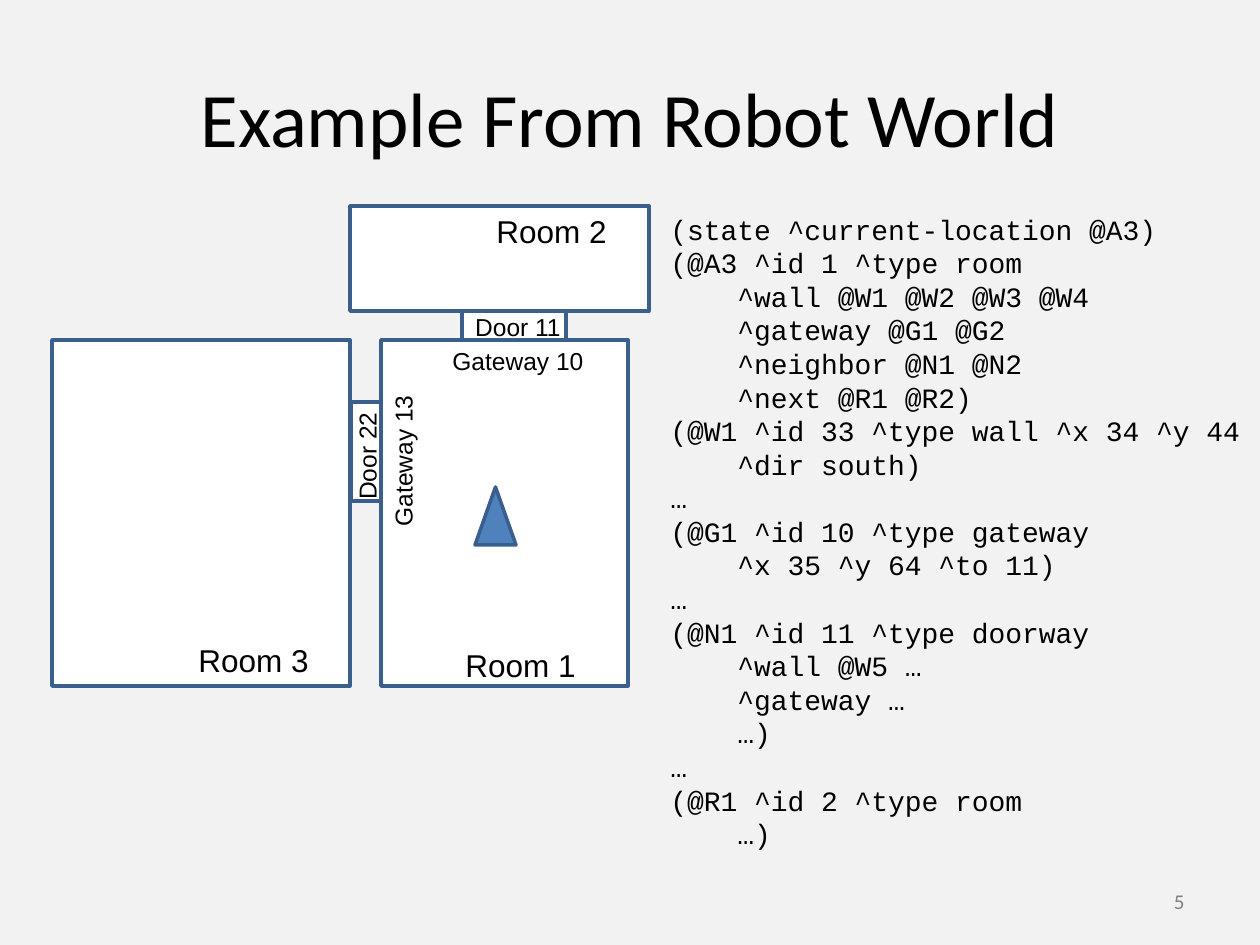
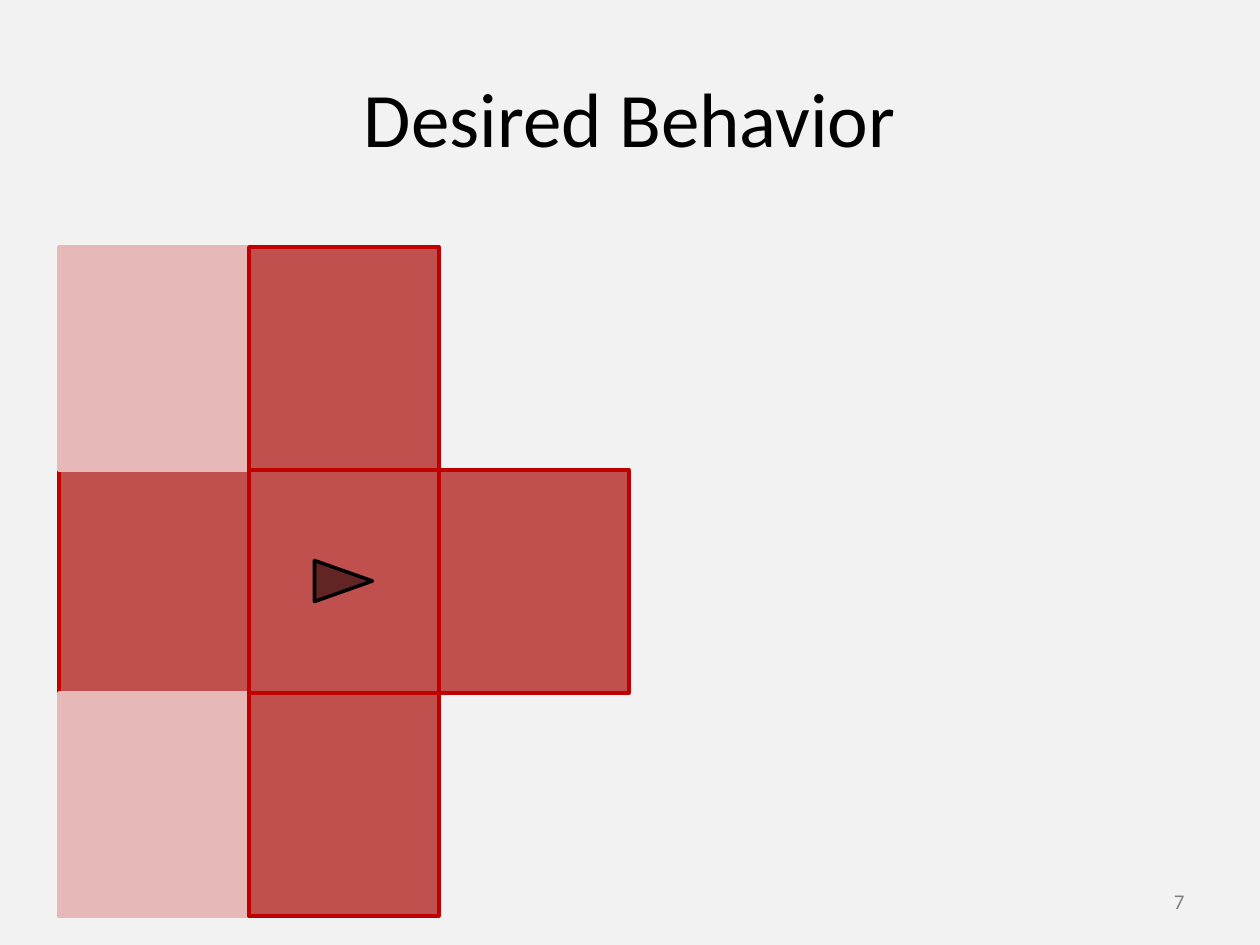
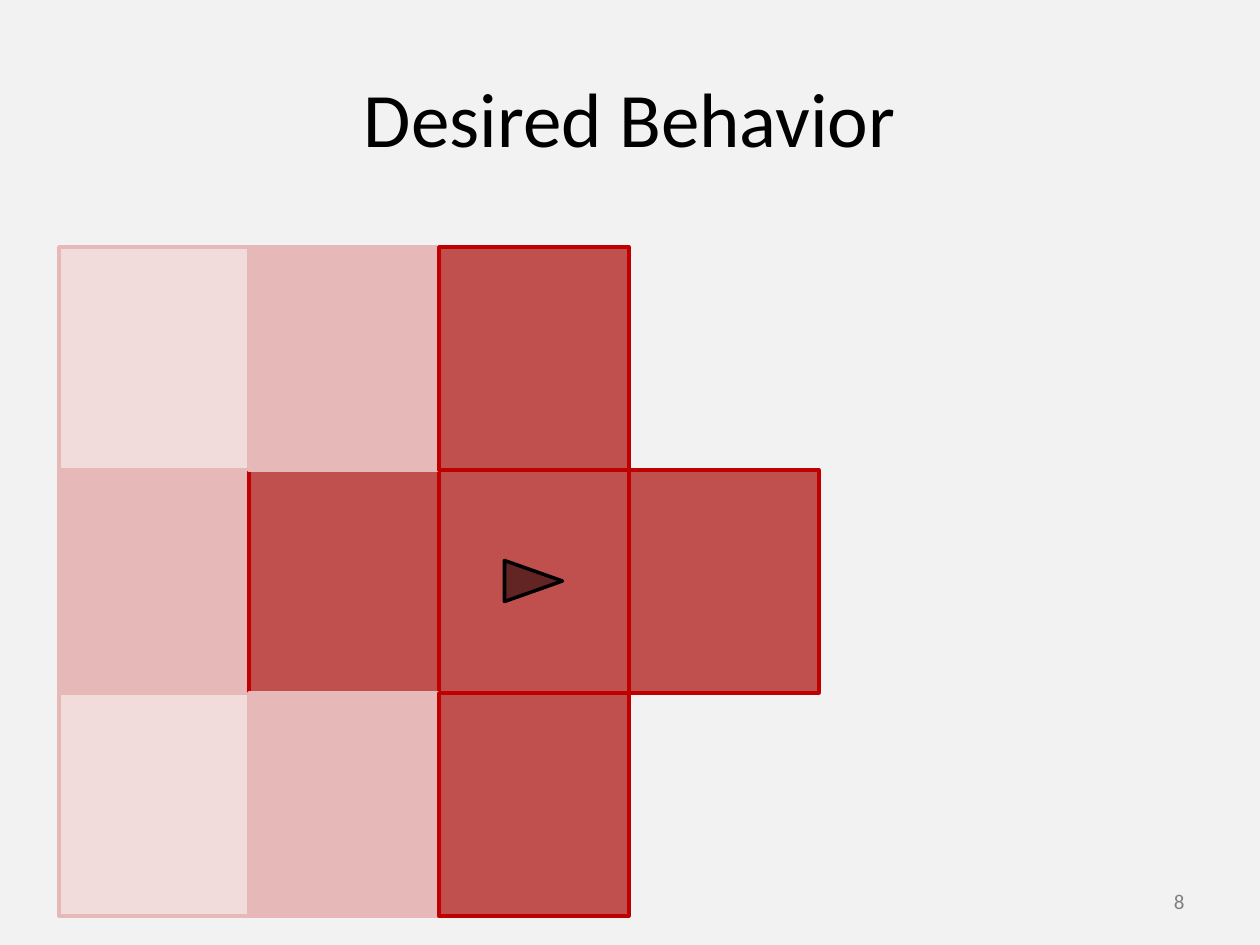
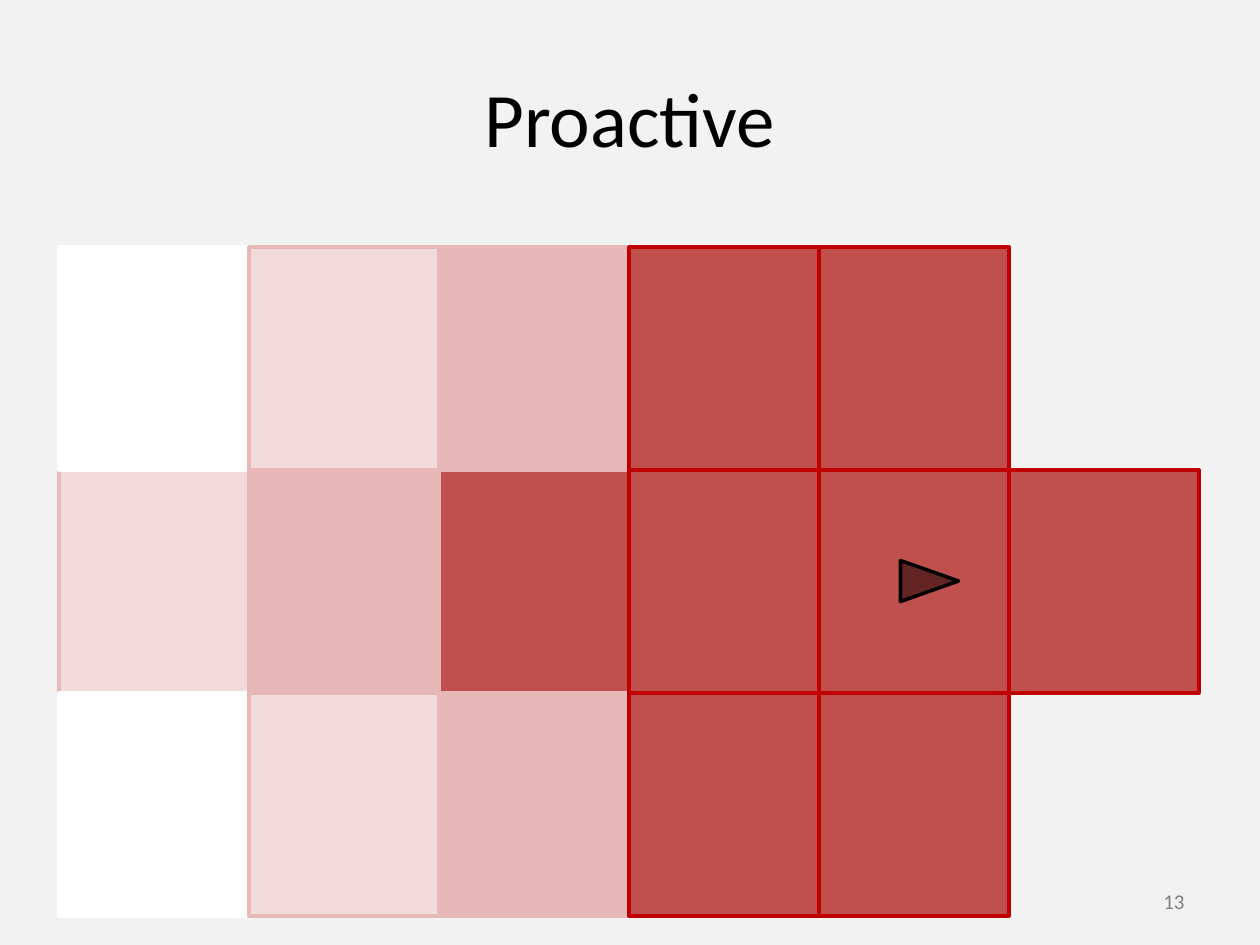
from dataclasses import dataclass

from pptx import Presentation
from pptx import util as u
from pptx.dml import color
from pptx.enum import shapes, text

EMU_PER_PX = 914400 / 126


@dataclass(frozen=True)
class Theme:
    background: str = "F2F2F2"
    ink: str = "000000"
    page_number: str = "808080"
    room: str = "FFFFFF"
    robot: str = "4F81BD"
    wall: str = "3A5F8C"
    grid_robot: str = "632523"
    heading_font: str = "Calibri"
    label_font: str = "Arial"
    code_font: str = "Courier New"
    title_size: int = 44
    page_size: int = 12
    room_size: int = 18
    door_size: int = 14
    code_size: int = 16
    line_width: int = 2


THEME = Theme()
SHADES = {
    "D": ("C0504D", "C00000"),
    "M": ("E6B9B8", "E6B9B8"),
    "L": ("F2DCDB", "E6B9B8"),
    "W": ("FFFFFF", "FFFFFF"),
}
GRID_LEFT, GRID_TOP = 59, 247
CELL_WIDTH, CELL_HEIGHT = 190, 223
ROBOT_WIDTH, ROBOT_HEIGHT = 41, 58

ROOMS_AND_DOORS = [
    (381, 340, 247, 346),
    (462, 311, 104, 29),
    (351, 402, 30, 99),
    (350, 206, 299, 105),
    (52, 340, 298, 346),
]
ROOM_LABELS = [
    ("Room 1", 453, 640),
    ("Room 2", 484, 206),
    ("Room 3", 186, 635),
]
PASSAGE_LABELS = [
    ("Door 11", 436, 306, 0),
    ("Door 22", 285, 435, 270),
    ("Gateway 10", 436, 340, 0),
    ("Gateway 13", 321, 440, 270),
]
WORKING_MEMORY = """(state ^current-location @A3)
(@A3 ^id 1 ^type room
    ^wall @W1 @W2 @W3 @W4
    ^gateway @G1 @G2
    ^neighbor @N1 @N2
    ^next @R1 @R2)
(@W1 ^id 33 ^type wall ^x 34 ^y 44
    ^dir south)
…
(@G1 ^id 10 ^type gateway
    ^x 35 ^y 64 ^to 11)
…
(@N1 ^id 11 ^type doorway
    ^wall @W5 …
    ^gateway …
    …)
…
(@R1 ^id 2 ^type room
    …)"""


def px(*lengths):
    return [u.Emu(round(length * EMU_PER_PX)) for length in lengths]


def rgb(code):
    return color.RGBColor.from_string(code)


def add_text(slide, content, box, font, size, ink=THEME.ink,
             align=text.PP_ALIGN.LEFT, rotation=0, grow=True):
    holder = slide.shapes.add_textbox(*px(*box))
    holder.rotation = rotation
    frame = holder.text_frame
    frame.word_wrap = True
    if grow:
        frame.auto_size = text.MSO_AUTO_SIZE.SHAPE_TO_FIT_TEXT
    else:
        frame.vertical_anchor = text.MSO_ANCHOR.MIDDLE
    for number, line in enumerate(content.split("\n")):
        paragraph = frame.add_paragraph() if number else frame.paragraphs[0]
        paragraph.alignment = align
        run = paragraph.add_run()
        run.text = line
        run.font.name = font
        run.font.size = u.Pt(size)
        run.font.color.rgb = rgb(ink)


def add_outlined(slide, kind, box, fill, line, rotation=0):
    outlined = slide.shapes.add_shape(kind, *px(*box))
    outlined.shadow.inherit = False
    outlined.rotation = rotation
    outlined.fill.solid()
    outlined.fill.fore_color.rgb = rgb(fill)
    outlined.line.color.rgb = rgb(line)
    outlined.line.width = u.Pt(THEME.line_width)


def add_rectangle(slide, box, fill, line):
    add_outlined(slide, shapes.MSO_SHAPE.RECTANGLE, box, fill, line)


def add_robot(slide, left, top, fill, line, rotation=0):
    add_outlined(slide, shapes.MSO_SHAPE.ISOSCELES_TRIANGLE,
                 (left, top, ROBOT_WIDTH, ROBOT_HEIGHT), fill, line, rotation)


def add_page(deck, title, number):
    slide = deck.slides.add_slide(deck.slide_layouts[6])
    slide.background.fill.solid()
    slide.background.fill.fore_color.rgb = rgb(THEME.background)
    add_text(slide, title, (63, 38, 1134, 157), THEME.heading_font,
             THEME.title_size, align=text.PP_ALIGN.CENTER, grow=False)
    add_text(slide, str(number), (903, 876, 294, 50), THEME.heading_font,
             THEME.page_size, THEME.page_number, text.PP_ALIGN.RIGHT, grow=False)
    return slide


def add_robot_world(slide):
    for box in ROOMS_AND_DOORS:
        add_rectangle(slide, box, THEME.room, THEME.wall)
    add_robot(slide, 475, 487, THEME.robot, THEME.wall)
    for label, left, top in ROOM_LABELS:
        add_text(slide, label, (left, top, 164, 51), THEME.label_font, THEME.room_size)
    for label, left, top, rotation in PASSAGE_LABELS:
        add_text(slide, label, (left, top, 164, 42), THEME.label_font,
                 THEME.door_size, align=text.PP_ALIGN.CENTER, rotation=rotation)
    add_text(slide, WORKING_MEMORY, (658, 206, 602, 658),
             THEME.code_font, THEME.code_size)


def add_activation_grid(slide, rows, backmost_column, robot_column, robot_inset=74):
    cells = [(row, column) for column in range(len(rows[1]))
             for row in (1, 0, 2) if column < len(rows[row])]
    cells.sort(key=lambda cell: cell != (1, backmost_column))
    for row, column in cells:
        box = (GRID_LEFT + column * CELL_WIDTH, GRID_TOP + row * CELL_HEIGHT,
               CELL_WIDTH, CELL_HEIGHT)
        add_rectangle(slide, box, *SHADES[rows[row][column]])
    add_robot(slide, GRID_LEFT + robot_column * CELL_WIDTH + robot_inset,
              GRID_TOP + CELL_HEIGHT + (CELL_HEIGHT - ROBOT_HEIGHT) // 2,
              THEME.grid_robot, THEME.ink, rotation=90)


def main():
    deck = Presentation()
    deck.slide_width, deck.slide_height = u.Inches(10), u.Inches(7.5)

    add_robot_world(add_page(deck, "Example From Robot World", 5))
    add_activation_grid(add_page(deck, "Desired Behavior", 7),
                        ("MD", "DDD", "MD"), 0, 1)
    add_activation_grid(add_page(deck, "Desired Behavior", 8),
                        ("LMD", "MDDD", "LMD"), 2, 2)
    add_activation_grid(add_page(deck, "Proactive", 13),
                        ("WLMDD", "LMDDDD", "WLMDD"), 2, 4, robot_inset=90)

    deck.save("out.pptx")


if __name__ == "__main__":
    main()
